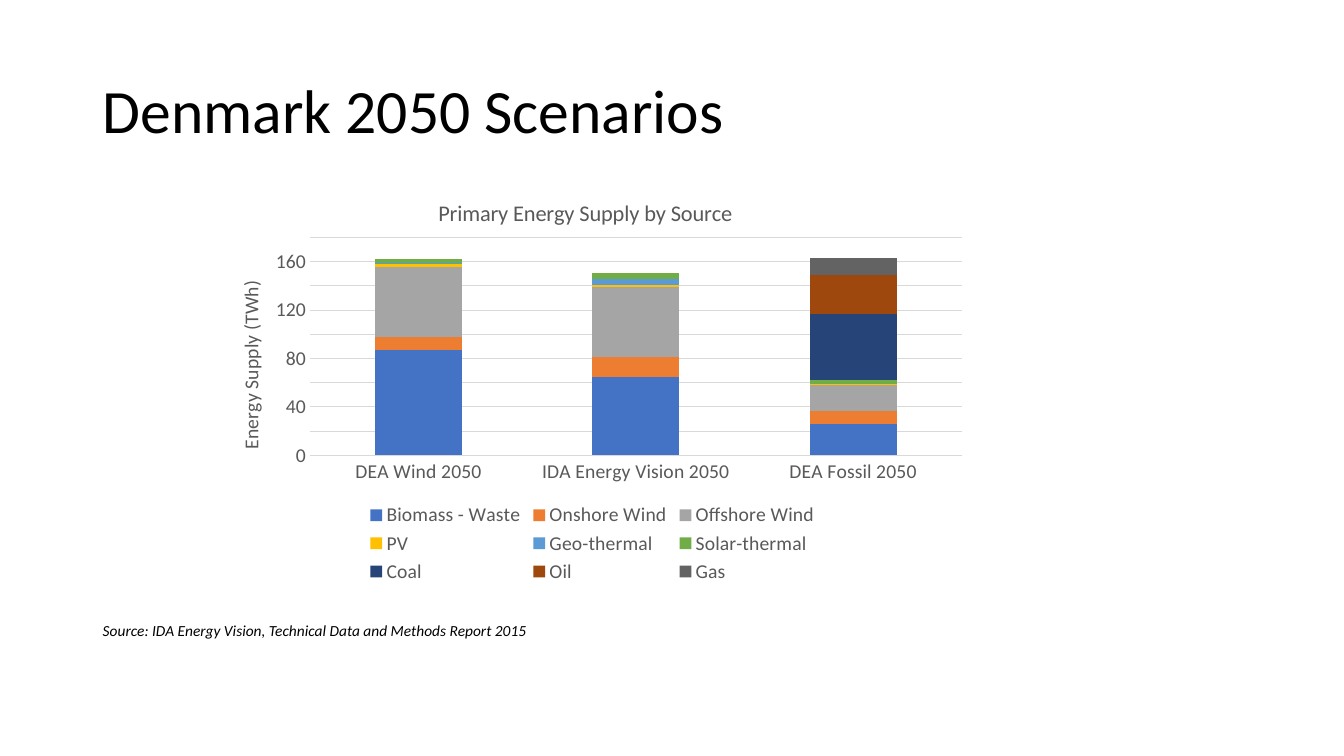
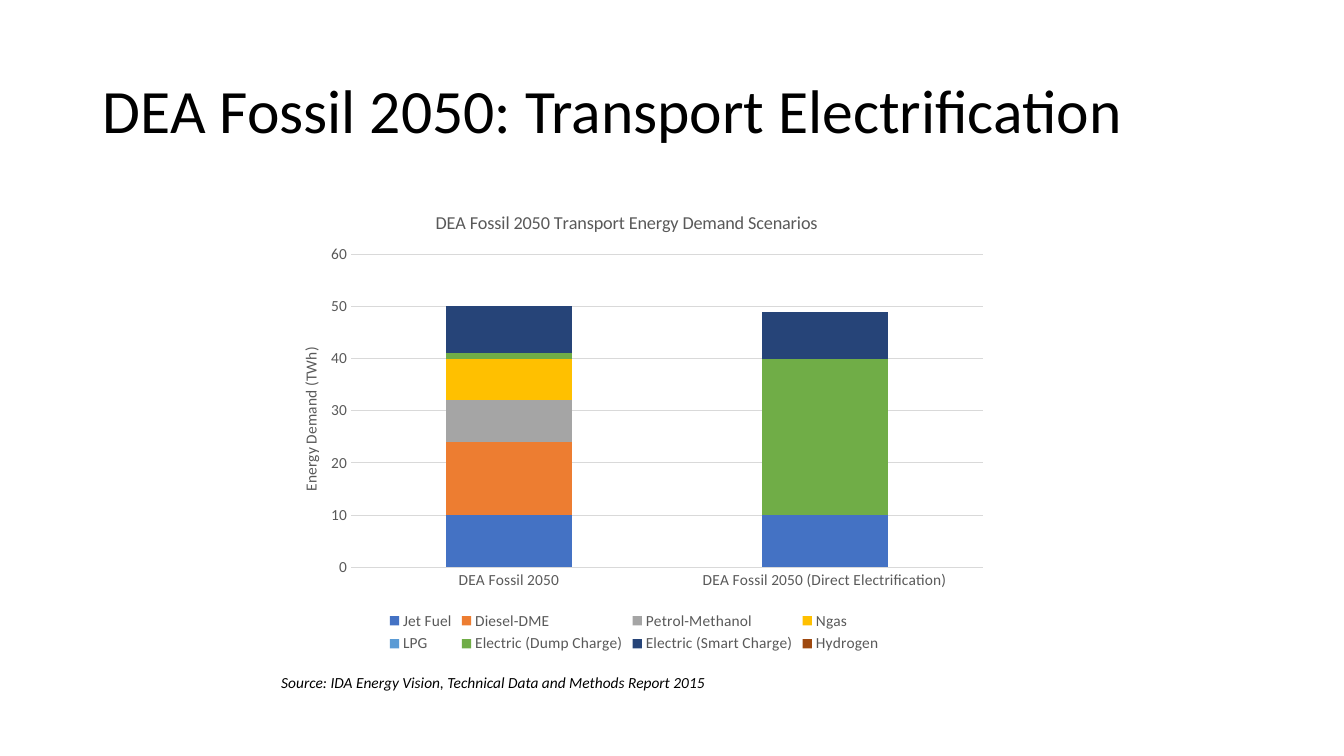
from lxml import etree
from pptx import Presentation
from pptx.chart.data import CategoryChartData
from pptx.dml.color import RGBColor
from pptx.enum.chart import XL_CHART_TYPE as ChartType, XL_LEGEND_POSITION as LegendSide
from pptx.enum.chart import XL_TICK_MARK as TickMark
from pptx.enum.text import MSO_ANCHOR as Anchor, MSO_AUTO_SIZE as AutoSize, PP_ALIGN as Align
from pptx.oxml.ns import qn
from pptx.util import Inches, Pt

# Shared look
FONT = "Calibri"
BLACK = RGBColor(0x00, 0x00, 0x00)
GREY = RGBColor(0x59, 0x59, 0x59)
GRID = RGBColor(0xD9, 0xD9, 0xD9)
PALETTE = [RGBColor.from_string(code) for code in (
    "4472C4", "ED7D31", "A5A5A5", "FFC000", "5B9BD5", "70AD47", "264478", "9E480E", "636363")]
MARGIN = 0.92
SOURCE = "Source: IDA Energy Vision, Technical Data and Methods Report 2015"

# What differs between the slides: boxes in inches, chart parts as shares of the chart
SLIDES = [
    dict(
        title="Denmark 2050 Scenarios", title_width=11.5,
        source_at=(MARGIN, 6.11), chart_at=(2.05, 1.72, 7.65, 4.11),
        size=14, top=180, step=20,
        heading="Primary Energy Supply by Source", heading_size=16, heading_at=(0.295, 0.05),
        axis="Energy Supply (TWh)", axis_at=(0.035, 0.25),
        plot_at=(0.134, 0.155, 0.845, 0.526),
        categories=["DEA Wind 2050", "IDA Energy Vision 2050", "DEA Fossil 2050"],
        series={
            "Biomass - Waste": (87, 65, 26),
            "Onshore Wind": (11, 16, 11),
            "Offshore Wind": (58, 58, 21),
            "PV": (2, 2, 1),
            "Geo-thermal": (1, 5, 0),
            "Solar-thermal": (3, 5, 3),
            "Coal": (0, 0, 55),
            "Oil": (0, 0, 32),
            "Gas": (0, 0, 14),
        }),
    dict(
        title="DEA Fossil 2050: Transport Electrification", title_width=12.42,
        source_at=(2.69, 6.63), chart_at=(2.69, 1.85, 7.2, 4.67),
        size=11, top=60, step=10,
        heading="DEA Fossil 2050 Transport Energy Demand Scenarios",
        heading_size=13, heading_at=(0.222, 0.045),
        axis="Energy Demand (TWh)", axis_at=(0.036, 0.335),
        plot_at=(0.11, 0.144, 0.87, 0.665),
        categories=["DEA Fossil 2050", "DEA Fossil 2050 (Direct Electrification)"],
        series={
            "Jet Fuel": (10, 10),
            "Diesel-DME": (14, 0),
            "Petrol-Methanol": (8, 0),
            "Ngas": (8, 0),
            "LPG": (0, 0),
            "Electric (Dump Charge)": (1, 30),
            "Electric (Smart Charge)": (9, 9),
            "Hydrogen": (0, 0),
        }),
]


def style(font, size, color):
    font.name, font.size, font.bold = FONT, Pt(size), False
    font.color.rgb = color


def place(part, index, shares):
    """Give a chart part a manual layout, in shares of the chart."""
    for old in part.findall(qn("c:layout")):
        part.remove(old)
    layout = etree.Element(qn("c:layout"))
    manual = etree.SubElement(layout, qn("c:manualLayout"))
    settings = [("xMode", "edge"), ("yMode", "edge"), *zip("xywh", shares)]
    if len(shares) == 4:
        settings.insert(0, ("layoutTarget", "inner"))
    for name, value in settings:
        etree.SubElement(manual, qn("c:" + name)).set("val", str(value))
    part.insert(index, layout)


deck = Presentation()
deck.slide_width, deck.slide_height = Inches(13.33), Inches(7.5)

for content in SLIDES:
    page = deck.slides.add_slide(deck.slide_layouts[5])

    # Title
    title = page.shapes.title
    title.left, title.top = Inches(MARGIN), Inches(0.4)
    title.width, title.height = Inches(content["title_width"]), Inches(1.45)
    frame = title.text_frame
    frame.text = content["title"]
    frame.auto_size, frame.vertical_anchor = AutoSize.NONE, Anchor.MIDDLE
    para = frame.paragraphs[0]
    para.alignment, para.line_spacing = Align.LEFT, 0.9
    style(para.runs[0].font, 44, BLACK)

    # Stacked column chart
    data = CategoryChartData()
    data.categories = content["categories"]
    for name, values in content["series"].items():
        data.add_series(name, values)
    chart = page.shapes.add_chart(
        ChartType.COLUMN_STACKED, *map(Inches, content["chart_at"]), data).chart
    size = content["size"]
    style(chart.font, size, GREY)
    plot = chart.plots[0]
    plot.gap_width, plot.overlap, plot.vary_by_categories = 150, 100, False
    for series, color in zip(plot.series, PALETTE):
        series.format.fill.solid()
        series.format.fill.fore_color.rgb = color
    place(chart._chartSpace.chart.plotArea, 0, content["plot_at"])

    # Axes
    categories, values = chart.category_axis, chart.value_axis
    for axis in (categories, values):
        axis.major_tick_mark = axis.minor_tick_mark = TickMark.NONE
        style(axis.tick_labels.font, size, GREY)
    values.minimum_scale, values.maximum_scale = 0, content["top"]
    values.major_unit = content["step"]
    values.format.line.fill.background()
    for line in (categories.format.line, values.major_gridlines.format.line):
        line.color.rgb, line.width = GRID, Pt(0.75)

    # Chart heading and axis title
    for label, text, points, shares in (
            (chart.chart_title, content["heading"], content["heading_size"], content["heading_at"]),
            (values.axis_title, content["axis"], size, content["axis_at"])):
        label.text_frame.text = text
        style(label.text_frame.paragraphs[0].runs[0].font, points, GREY)
        place(label._element, 1, shares)
    turned = values.axis_title.text_frame._txBody.bodyPr
    turned.set("rot", "-5400000")
    turned.set("vert", "horz")

    # Legend
    chart.has_legend = True
    chart.legend.position, chart.legend.include_in_layout = LegendSide.BOTTOM, False
    style(chart.legend.font, size, GREY)

    # Source line
    box = page.shapes.add_textbox(*map(Inches, (*content["source_at"], 7.08, 0.29)))
    box.text_frame.word_wrap = True
    box.text_frame.text = SOURCE
    span = box.text_frame.paragraphs[0].runs[0]
    style(span.font, 11, BLACK)
    span.font.italic = True

deck.save("out.pptx")
